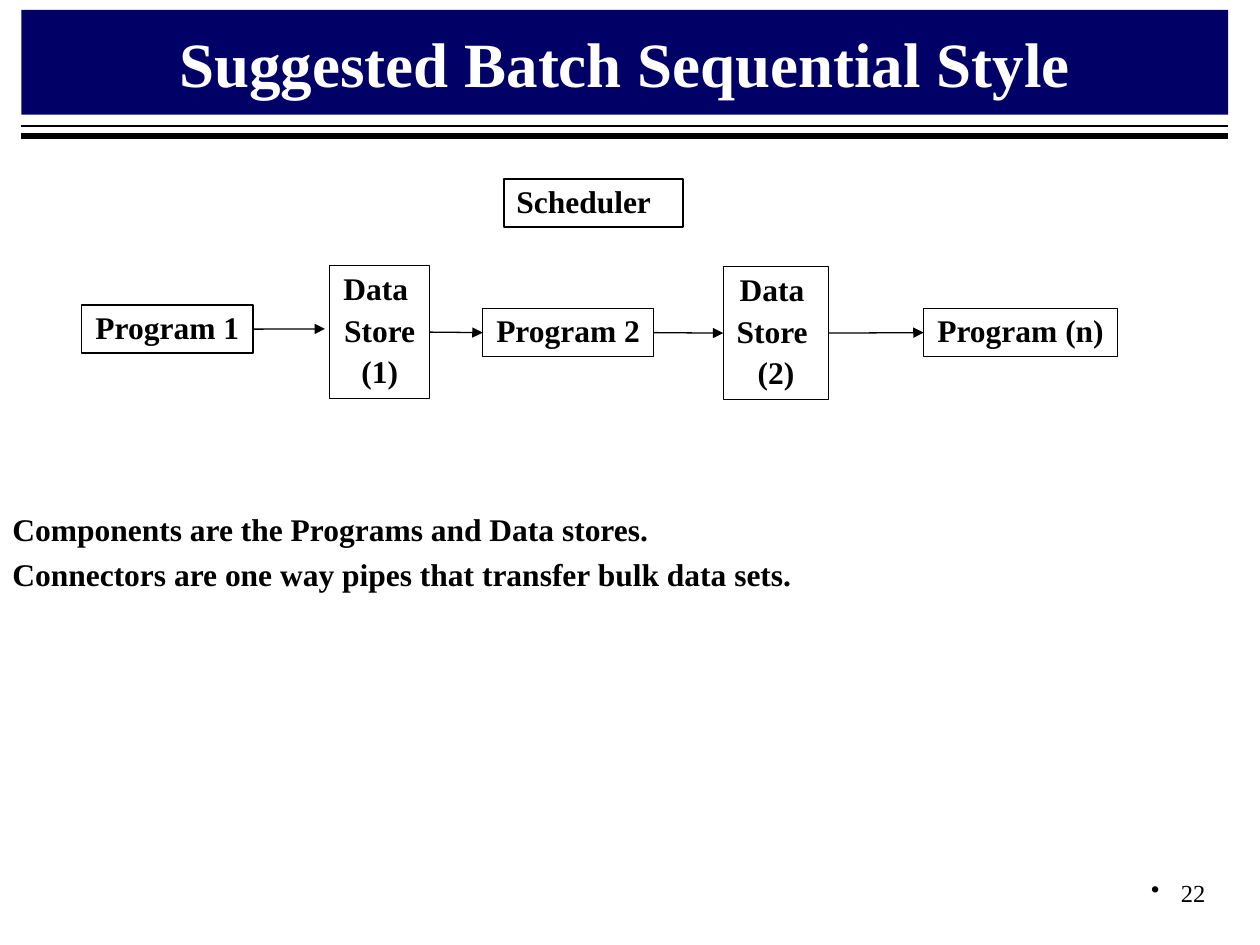
from lxml.etree import SubElement
from pptx import Presentation
from pptx.dml.color import RGBColor
from pptx.enum.shapes import MSO_CONNECTOR, MSO_SHAPE
from pptx.enum.text import MSO_ANCHOR, PP_ALIGN
from pptx.oxml.ns import qn
from pptx.util import Cm, Pt

NAVY = RGBColor(0x00, 0x00, 0x66)
BLACK = RGBColor(0x00, 0x00, 0x00)
WHITE = RGBColor(0xFF, 0xFF, 0xFF)
FONT = "Times New Roman"
LEFT, WIDTH = 0.43, 24.33
TOP, BOTTOM, RIGHT_SIDE, LEFT_SIDE = 0, 2, 3, 1

# lines of text, left, top, width, height
STAGES = [
    (["Program 1"], 1.65, 6.15, 3.45, 0.97),
    (["Data ", "Store", "(1)"], 6.65, 5.36, 2.01, 2.67),
    (["Program 2"], 9.73, 6.22, 3.45, 0.97),
    (["Data ", "Store ", "(2)"], 14.58, 5.38, 2.13, 2.67),
    (["Program (n)"], 18.62, 6.22, 3.91, 0.97),
]
NOTES = [
    "Components are the Programs and Data stores.",
    "Connectors are one way pipes that transfer bulk data sets.",
]


def style(par, size, color=BLACK, bold=True, align=PP_ALIGN.LEFT):
    par.alignment = align
    font = par.font
    font.name, font.size, font.bold = FONT, Pt(size), bold
    font.color.rgb = color


def indent(par, left):
    """Hang the first line back to the edge of the text."""
    props = par._p.get_or_add_pPr()
    props.set("marL", str(Cm(left)))
    props.set("indent", str(-Cm(left)))
    return props


def add_lines(frame, lines, gap):
    """Fill the frame with one paragraph a line and return the paragraphs."""
    frame.text = "\n".join(lines)
    for par in frame.paragraphs[1:]:
        par.space_before = Pt(gap)
    return frame.paragraphs


def add_title(slide, text):
    title = slide.shapes.title
    title.left, title.top = Cm(LEFT), Cm(0.2)
    title.width, title.height = Cm(WIDTH), Cm(2.11)
    title.fill.solid()
    title.fill.fore_color.rgb = NAVY
    title.text_frame.text = text
    title.text_frame.vertical_anchor = MSO_ANCHOR.MIDDLE
    style(title.text_frame.paragraphs[0], 36, WHITE, align=PP_ALIGN.CENTER)


def add_line(slide, x1, y1, x2, y2, weight):
    line = slide.shapes.add_connector(
        MSO_CONNECTOR.STRAIGHT, Cm(x1), Cm(y1), Cm(x2), Cm(y2))
    line.line.color.rgb = BLACK
    line.line.width = Pt(weight)
    SubElement(line._element.spPr, qn("a:effectLst"))
    return line


def add_arrow(slide, start, end=None, tip=(0, 0)):
    """Join two boxes, or run from one box to a free tip."""
    arrow = add_line(slide, 0, 0, *tip, 0.75)
    arrow.begin_connect(start, RIGHT_SIDE)
    if end is not None:
        arrow.end_connect(end, LEFT_SIDE)
    SubElement(arrow.line._get_or_add_ln(), qn("a:tailEnd"), type="triangle")


def add_box(slide, lines, left, top, width, height, align=PP_ALIGN.CENTER):
    box = slide.shapes.add_shape(
        MSO_SHAPE.RECTANGLE, Cm(left), Cm(top), Cm(width), Cm(height))
    box.shadow.inherit = False
    box.fill.background()
    box.line.color.rgb = BLACK
    box.line.width = Pt(0.75)
    frame = box.text_frame
    frame.word_wrap = align == PP_ALIGN.LEFT
    frame.vertical_anchor = MSO_ANCHOR.MIDDLE
    for par in add_lines(frame, lines, 4.2):
        par.line_spacing = 0.9
        style(par, 18, align=align)
    return box


def add_notes(slide):
    box = slide.shapes.add_textbox(Cm(0), Cm(10.16), Cm(WIDTH), Cm(1.93))
    box.fill.solid()
    box.fill.fore_color.rgb = WHITE
    box.text_frame.word_wrap = True
    for par in add_lines(box.text_frame, NOTES, 4.3):
        indent(par, 0.3)
        style(par, 18)


def add_number(slide, text):
    box = slide.shapes.add_textbox(Cm(19.26), Cm(17.58), Cm(5.29), Cm(1.27))
    box.text_frame.word_wrap = True
    box.text_frame.text = text
    par = box.text_frame.paragraphs[0]
    SubElement(indent(par, 0.6), qn("a:buChar"), char="•")
    style(par, 14, bold=False, align=PP_ALIGN.RIGHT)


def main():
    deck = Presentation()
    deck.slide_width, deck.slide_height = Cm(25.4), Cm(19.05)
    slide = deck.slides.add_slide(deck.slide_layouts[5])
    add_title(slide, "Suggested Batch Sequential Style")
    for y, weight in [(2.54, 1), (2.74, 3)]:
        add_line(slide, LEFT, y, LEFT + WIDTH, y, weight)
    add_number(slide, "22")

    boxes = [add_box(slide, *stage) for stage in STAGES]
    add_arrow(slide, boxes[0], tip=(6.55, 6.63))
    for start, end in zip(boxes[1:], boxes[2:]):
        add_arrow(slide, start, end)
    add_box(slide, ["Scheduler"], 10.16, 3.61, 3.61, 0.97, PP_ALIGN.LEFT)
    add_notes(slide)
    deck.save("out.pptx")


if __name__ == "__main__":
    main()
